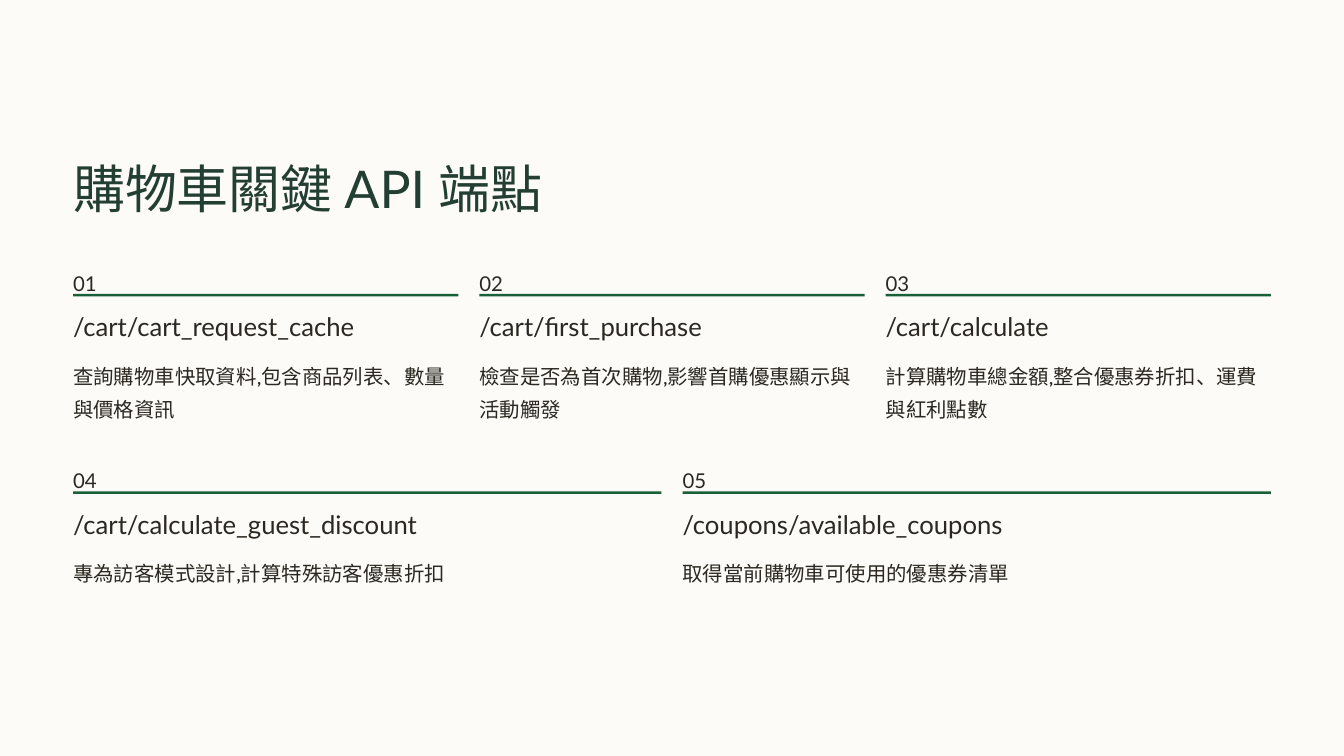
from pptx import Presentation
from pptx.dml.color import RGBColor
from pptx.enum.shapes import MSO_SHAPE
from pptx.enum.text import MSO_ANCHOR, MSO_AUTO_SIZE, PP_ALIGN
from pptx.util import Inches, Pt

RECT = MSO_SHAPE.RECTANGLE
TOP = MSO_ANCHOR.TOP
FIXED = MSO_AUTO_SIZE.NONE
LEFT = PP_ALIGN.LEFT

COLORS = {"paper": "FCFBF8", "title": "233E32", "text": "2C2821", "rule": "1B5F39"}
EDGE, WIDTH, GAP = 0.87, 14.26, 0.25

# Each row: top, then number, endpoint and description of its cards
ROWS = [
    (3.12, [
        ("01", "/cart/cart_request_cache", "查詢購物車快取資料,包含商品列表、數量與價格資訊"),
        ("02", "/cart/first_purchase", "檢查是否為首次購物,影響首購優惠顯示與活動觸發"),
        ("03", "/cart/calculate", "計算購物車總金額,整合優惠券折扣、運費與紅利點數"),
    ]),
    (5.47, [
        ("04", "/cart/calculate_guest_discount", "專為訪客模式設計,計算特殊訪客優惠折扣"),
        ("05", "/coupons/available_coupons", "取得當前購物車可使用的優惠券清單"),
    ]),
]


class Deck:
    head, body = "Lato", "Cambria"

    def __init__(self):
        self.prs = Presentation()
        self.prs.slide_width, self.prs.slide_height = Inches(16), Inches(9)
        self.slide = self.prs.slides.add_slide(self.prs.slide_layouts[5])
        self.paint(self.slide.background.fill, "paper")

    def paint(self, fill, color):
        fill.solid()
        fill.fore_color.rgb = RGBColor.from_string(COLORS[color])

    def style(self, shape, text, size, line, font, color="text"):
        frame = shape.text_frame
        frame.text = text
        frame.word_wrap = True
        frame.auto_size = FIXED
        frame.vertical_anchor = TOP
        frame.margin_left = frame.margin_right = 0
        frame.margin_top = frame.margin_bottom = 0
        para = frame.paragraphs[0]
        para.alignment = LEFT
        para.line_spacing = Pt(line)
        for run in para.runs:
            run.font.size = Pt(size)
            run.font.name = font
            run.font.color.rgb = RGBColor.from_string(COLORS[color])

    def title(self, text, x, y, w, h):
        shape = self.slide.shapes.title
        shape.left, shape.top = Inches(x), Inches(y)
        shape.width, shape.height = Inches(w), Inches(h)
        self.style(shape, text, 44.5, 55.5, self.head, "title")

    def label(self, text, x, y, w, h, size, line, font):
        box = self.slide.shapes.add_textbox(Inches(x), Inches(y), Inches(w), Inches(h))
        self.style(box, text, size, line, font)

    def rule(self, x, y, w):
        bar = self.slide.shapes.add_shape(RECT, Inches(x), Inches(y), Inches(w), Inches(0.03))
        bar.shadow.inherit = False
        self.paint(bar.fill, "rule")
        bar.line.fill.background()

    def card(self, x, y, w, num, name, note):
        self.label(num, x, y, w, 0.31, 17.5, 28.5, self.head)
        self.rule(x, y + 0.38, w)
        self.label(name, x, y + 0.57, w, 0.39, 22, 27.5, self.head)
        self.label(note, x, y + 1.11, w, 0.79, 17.5, 28.5, self.body)


def main():
    deck = Deck()
    deck.title("購物車關鍵 API 端點", EDGE, 1.84, WIDTH, 0.78)

    # Cards share the full width of their row
    for top, cards in ROWS:
        wide = (WIDTH - GAP * (len(cards) - 1)) / len(cards)
        for col, card in enumerate(cards):
            deck.card(EDGE + col * (wide + GAP), top, wide, *card)

    deck.prs.save("out.pptx")


if __name__ == "__main__":
    main()
